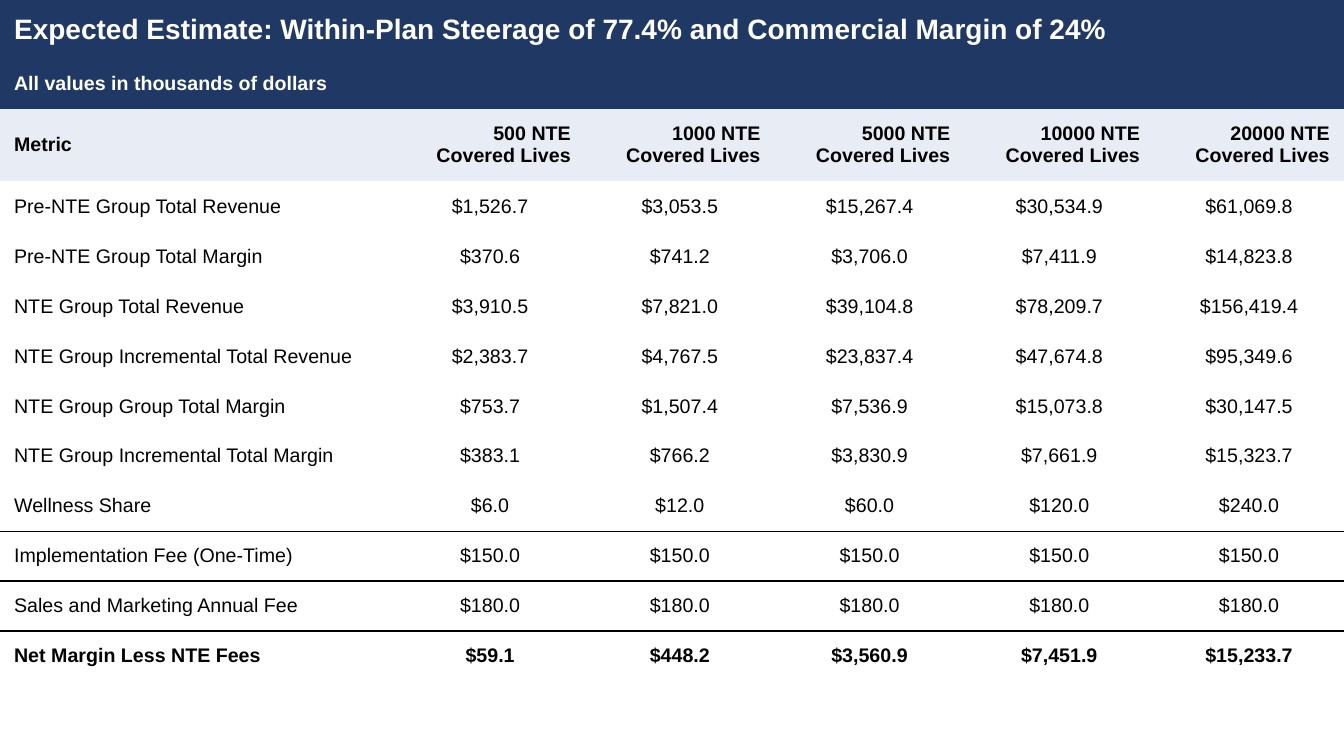
from lxml.etree import SubElement
from pptx import Presentation
from pptx.dml.color import RGBColor
from pptx.enum.text import MSO_ANCHOR as Anchor, PP_ALIGN as Align
from pptx.oxml.ns import qn
from pptx.util import Inches, Pt

COLORS = {"navy": "203864", "pale": "E7ECF5", "white": "FFFFFF", "black": "000000"}
SLIDE_WIDTH, SLIDE_HEIGHT = 13.33, 7.5
TABLE_HEIGHT = 6.76
METRIC_WIDTH = 3.92
HEADING_HEIGHTS = [0.59, 0.49, 0.72]
NO_STYLE = "{2D5ABB26-0587-4C30-8999-92F81FD0307C}"

TITLE = "Expected Estimate: Within-Plan Steerage of 77.4% and Commercial Margin of 24%"
SUBTITLE = "All values in thousands of dollars"
COVERED_LIVES = [500, 1000, 5000, 10000, 20000]
METRICS = [
    ("Pre-NTE Group Total Revenue", [1526.7, 3053.5, 15267.4, 30534.9, 61069.8]),
    ("Pre-NTE Group Total Margin", [370.6, 741.2, 3706.0, 7411.9, 14823.8]),
    ("NTE Group Total Revenue", [3910.5, 7821.0, 39104.8, 78209.7, 156419.4]),
    ("NTE Group Incremental Total Revenue", [2383.7, 4767.5, 23837.4, 47674.8, 95349.6]),
    ("NTE Group Group Total Margin", [753.7, 1507.4, 7536.9, 15073.8, 30147.5]),
    ("NTE Group Incremental Total Margin", [383.1, 766.2, 3830.9, 7661.9, 15323.7]),
    ("Wellness Share", [6.0, 12.0, 60.0, 120.0, 240.0]),
    ("Implementation Fee (One-Time)", [150.0] * 5),
    ("Sales and Marketing Annual Fee", [180.0] * 5),
    ("Net Margin Less NTE Fees", [59.1, 448.2, 3560.9, 7451.9, 15233.7]),
]
RULED_BELOW = {"Wellness Share", "Sales and Marketing Annual Fee"}
RULED_ABOVE = {"Implementation Fee (One-Time)", "Net Margin Less NTE Fees"}
TOTAL = "Net Margin Less NTE Fees"


def add_border(cell, side):
    """Draw a thin black line on one side of a cell."""
    line = SubElement(cell._tc.get_or_add_tcPr(), qn(f"a:{side}"), w=str(Pt(1)))
    fill = SubElement(line, qn("a:solidFill"))
    SubElement(fill, qn("a:srgbClr"), val=COLORS["black"])


def write_cell(cell, text, size=14, color="black", bold=False, align=Align.LEFT, fill=None):
    """Fill a cell and write its formatted text."""
    cell.margin_left = cell.margin_right = Inches(0.14)
    cell.margin_top = cell.margin_bottom = Inches(0.13)
    cell.vertical_anchor = Anchor.MIDDLE
    if fill:
        cell.fill.solid()
        cell.fill.fore_color.rgb = RGBColor.from_string(COLORS[fill])
    else:
        cell.fill.background()
    paragraph = cell.text_frame.paragraphs[0]
    paragraph.alignment = align
    run = paragraph.add_run()
    run.text = text
    run.font.name = "Arial"
    run.font.size = Pt(size)
    run.font.bold = bold
    run.font.color.rgb = RGBColor.from_string(COLORS[color])


def write_headings(table):
    """Write the two merged title rows and the column headings."""
    last_column = len(COVERED_LIVES)
    for row, (text, size) in enumerate([(TITLE, 20), (SUBTITLE, 14)]):
        table.cell(row, 0).merge(table.cell(row, last_column))
        write_cell(table.cell(row, 0), text, size=size, color="white", bold=True, fill="navy")
    write_cell(table.cell(2, 0), "Metric", bold=True, fill="pale")
    for column, lives in enumerate(COVERED_LIVES, 1):
        write_cell(table.cell(2, column), f"{lives} NTE Covered Lives",
                   bold=True, align=Align.RIGHT, fill="pale")


def write_metrics(table):
    """Write one row per metric, with rules around the fees."""
    for row, (metric, values) in enumerate(METRICS, len(HEADING_HEIGHTS)):
        texts = [metric] + [f"${value:,.1f}" for value in values]
        for column, text in enumerate(texts):
            cell = table.cell(row, column)
            if metric in RULED_ABOVE:
                add_border(cell, "lnT")
            if metric in RULED_BELOW:
                add_border(cell, "lnB")
            write_cell(cell, text, bold=metric == TOTAL,
                       align=Align.CENTER if column else Align.LEFT)


def add_estimate_table(slide, left, top, width, height):
    """Place the whole estimate table in the given box."""
    body_height = (height - sum(HEADING_HEIGHTS)) / len(METRICS)
    heights = HEADING_HEIGHTS + [body_height] * len(METRICS)
    value_width = (width - METRIC_WIDTH) / len(COVERED_LIVES)
    widths = [METRIC_WIDTH] + [value_width] * len(COVERED_LIVES)
    table = slide.shapes.add_table(len(heights), len(widths), Inches(left), Inches(top),
                                   Inches(width), Inches(height)).table
    table.first_row = table.horz_banding = False
    table._tbl.tblPr.find(qn("a:tableStyleId")).text = NO_STYLE
    for row, row_height in zip(table.rows, heights):
        row.height = Inches(row_height)
    for column, column_width in zip(table.columns, widths):
        column.width = Inches(column_width)
    write_headings(table)
    write_metrics(table)


def main():
    """Build and save the presentation."""
    presentation = Presentation()
    presentation.slide_width = Inches(SLIDE_WIDTH)
    presentation.slide_height = Inches(SLIDE_HEIGHT)
    slide = presentation.slides.add_slide(presentation.slide_layouts[6])
    add_estimate_table(slide, 0, 0, SLIDE_WIDTH, TABLE_HEIGHT)
    presentation.save("out.pptx")


if __name__ == "__main__":
    main()
